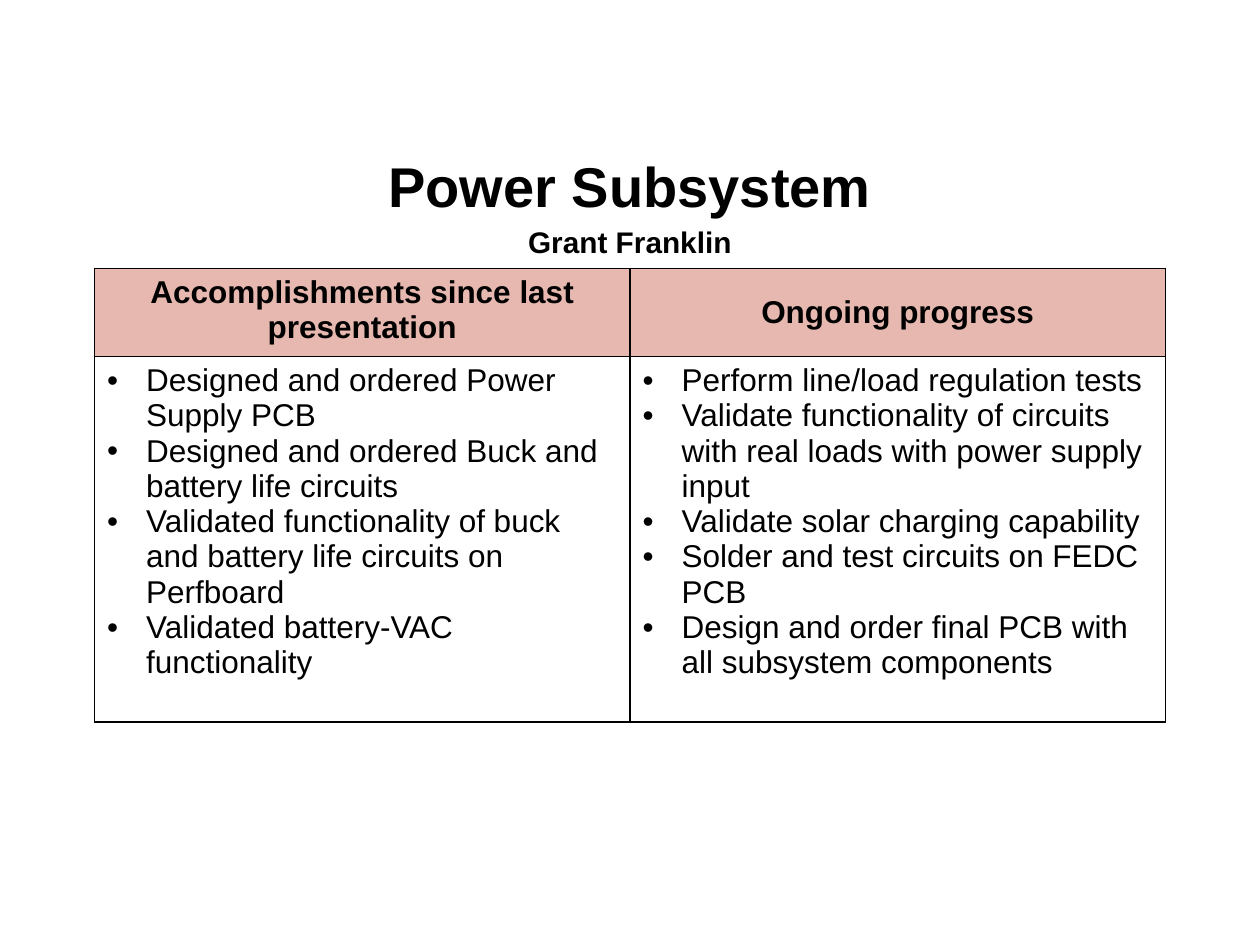
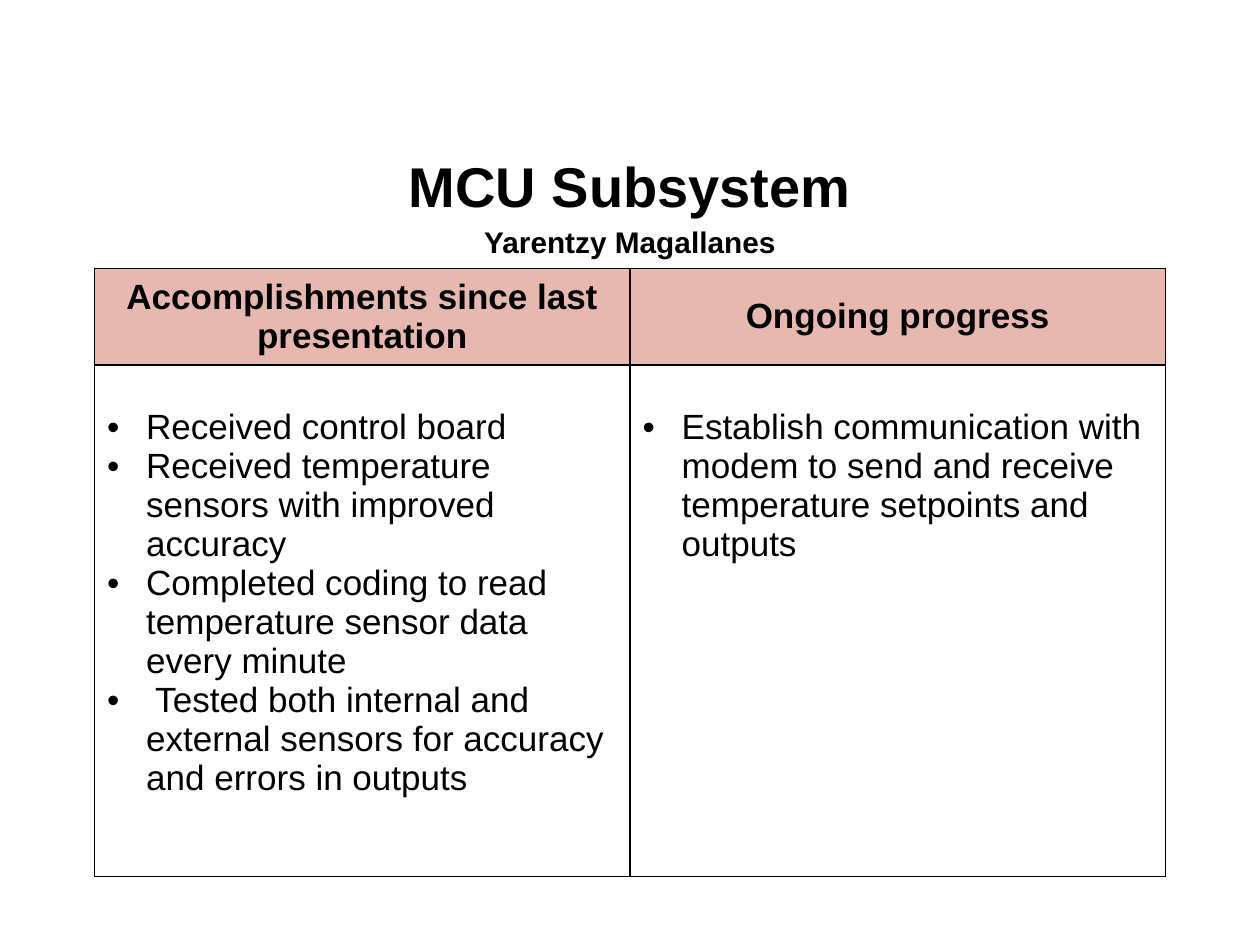
from lxml import etree
from pptx import Presentation
from pptx.dml.color import RGBColor
from pptx.enum.text import MSO_ANCHOR, PP_ALIGN
from pptx.oxml.ns import qn
from pptx.util import Inches, Pt

CENTER, LEFT = PP_ALIGN.CENTER, PP_ALIGN.LEFT
TOP, MIDDLE = MSO_ANCHOR.TOP, MSO_ANCHOR.MIDDLE

# Shared look
FONT = "Arial"
BLACK, WHITE, ROSE = "000000", "FFFFFF", "E6B8AF"
INDENT = Inches(0.31)
COLUMN_WIDTH = 4.25

# Content of the two subsystem slides
subsystems = [
    {
        "title": "Power Subsystem",
        "presenter": "Grant Franklin",
        "size": 18,
        "row_heights": [0.7, 2.9],
        "header_anchor": TOP,
        "body_top": 0.05,
        "headers": ["Accomplishments since last presentation", "Ongoing progress"],
        "columns": [
            [
                "Designed and ordered Power Supply PCB",
                "Designed and ordered Buck and battery life circuits",
                "Validated functionality of buck and battery life circuits on Perfboard",
                "Validated battery-VAC functionality",
            ],
            [
                "Perform line/load regulation tests",
                "Validate functionality of circuits with real loads with power supply input",
                "Validate solar charging capability",
                "Solder and test circuits on FEDC PCB",
                "Design and order final PCB with all subsystem components",
            ],
        ],
    },
    {
        "title": "MCU Subsystem",
        "presenter": "Yarentzy Magallanes",
        "size": 20,
        "row_heights": [0.72, 4.06],
        "header_anchor": MIDDLE,
        "body_top": 0.34,
        "headers": ["Accomplishments since last presentation", "Ongoing progress"],
        "columns": [
            [
                "Received control board",
                "Received temperature sensors with improved accuracy",
                "Completed coding to read temperature sensor data every minute",
                " Tested both internal and external sensors for accuracy and errors in outputs",
            ],
            [
                "Establish communication with modem to send and receive "
                "temperature setpoints and outputs",
            ],
        ],
    },
]


def color(value):
    return RGBColor.from_string(value)


def write_lines(frame, lines, align, bold, bulleted=False, spacing=None):
    """Write (text, size) lines, one paragraph each."""
    for index, (text, size) in enumerate(lines):
        para = frame.paragraphs[0] if index == 0 else frame.add_paragraph()
        para.alignment = align
        if spacing:
            para.line_spacing = spacing
        if bulleted:
            properties = para._p.get_or_add_pPr()
            properties.set("marL", str(INDENT))
            properties.set("indent", str(-INDENT))
            etree.SubElement(properties, qn("a:buFont"), typeface=FONT)
            etree.SubElement(properties, qn("a:buChar"), char="•")
        span = para.add_run()
        span.text = text
        span.font.name = FONT
        span.font.size = Pt(size)
        span.font.bold = bold
        span.font.color.rgb = color(BLACK)


deck = Presentation()
deck.slide_width = Inches(10)
deck.slide_height = Inches(7.5)

for subsystem in subsystems:
    page = deck.slides.add_slide(deck.slide_layouts[6])
    page.background.fill.solid()
    page.background.fill.fore_color.rgb = color(WHITE)

    # Title and presenter
    box = page.shapes.add_textbox(Inches(0.5), Inches(1.15), Inches(9), Inches(0.88))
    box.text_frame.word_wrap = True
    box.text_frame.vertical_anchor = MIDDLE
    title_lines = [(subsystem["title"], 32), (subsystem["presenter"], 17)]
    write_lines(box.text_frame, title_lines, CENTER, True, spacing=1.15)

    # Progress table
    heights = subsystem["row_heights"]
    table = page.shapes.add_table(
        2, 2, Inches(0.75), Inches(2.13),
        Inches(2 * COLUMN_WIDTH), Inches(sum(heights)),
    ).table
    table.first_row = False
    table.horz_banding = False
    for row, height in zip(table.rows, heights):
        row.height = Inches(height)

    # Cell borders and fills
    for cell in table.iter_cells():
        cell_properties = cell._tc.get_or_add_tcPr()
        for edge in ("a:lnL", "a:lnR", "a:lnT", "a:lnB"):
            line = etree.SubElement(cell_properties, qn(edge), w=str(Pt(1)))
            line_fill = etree.SubElement(line, qn("a:solidFill"))
            etree.SubElement(line_fill, qn("a:srgbClr"), val=BLACK)
        cell.fill.solid()
        cell.fill.fore_color.rgb = color(WHITE)

    # Headers and bullet lists
    size = subsystem["size"]
    for index, (header, items) in enumerate(zip(subsystem["headers"], subsystem["columns"])):
        head = table.cell(0, index)
        head.fill.fore_color.rgb = color(ROSE)
        head.vertical_anchor = subsystem["header_anchor"] if index == 0 else MIDDLE
        write_lines(head.text_frame, [(header, size)], CENTER, True)

        body = table.cell(1, index)
        body.margin_top = Inches(subsystem["body_top"])
        write_lines(body.text_frame, [(item, size) for item in items], LEFT, False, bulleted=True)

deck.save("out.pptx")
